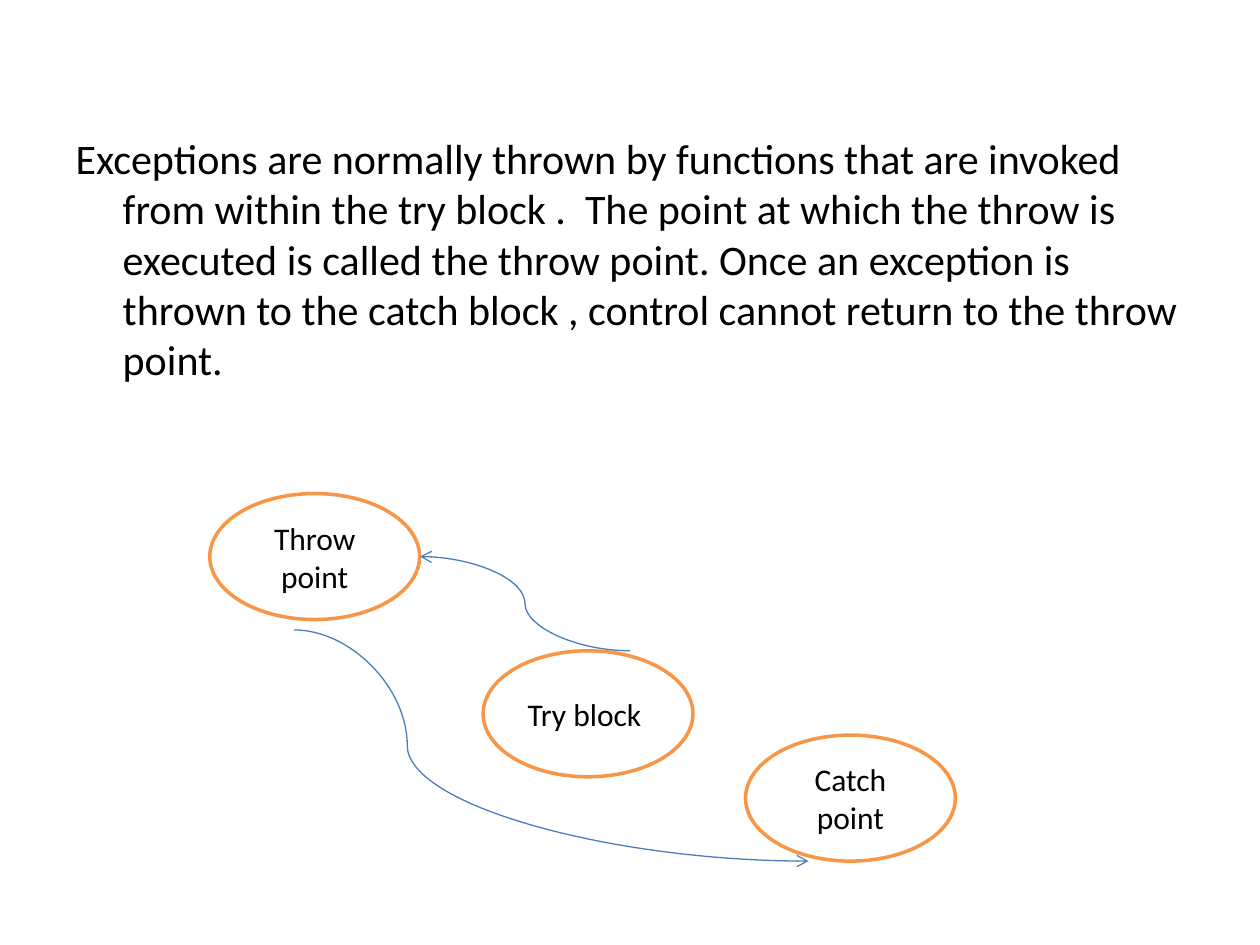
from dataclasses import dataclass
from typing import Any

from lxml.etree import SubElement
from pptx import Presentation
from pptx.dml.color import RGBColor
from pptx.enum.shapes import MSO_CONNECTOR as Link, MSO_SHAPE as Shape
from pptx.enum.text import MSO_ANCHOR as Anchor, PP_ALIGN as Align
from pptx.oxml.ns import qn
from pptx.util import Cm, Pt


def color(hex_code):
    """Turn a hex string into a colour."""
    return RGBColor.from_string(hex_code)


def write(frame, text, size=18, font="Calibri", ink="000000", align=None, anchor=None):
    """Fill a text frame with one formatted paragraph and return it."""
    frame.word_wrap = True
    if anchor is not None:
        frame.vertical_anchor = anchor
    paragraph = frame.paragraphs[0]
    paragraph.alignment = align
    run = paragraph.add_run()
    run.text = text
    run.font.size = Pt(size)
    run.font.name = font
    run.font.color.rgb = color(ink)
    return paragraph


@dataclass
class Diagram:
    """Hold the style and the current slide."""
    slide: Any
    node_fill: str = "FFFFFF"
    node_line: str = "F79646"
    flow_line: str = "4B7EBC"
    node_width: float = 4.23
    node_height: float = 2.54

    def body(self, text, left, top, width, height, hanging):
        """Place the body text without a bullet, with a hanging indent."""
        body = self.slide.placeholders[1]
        body.left, body.top, body.width, body.height = map(Cm, (left, top, width, height))
        properties = write(body.text_frame, text, size=24)._p.get_or_add_pPr()
        properties.set("marL", str(Cm(hanging)))
        properties.set("indent", str(-Cm(hanging)))
        SubElement(properties, qn("a:buNone"))

    def node(self, text, left, top):
        """Draw an outlined ellipse with centred text."""
        node = self.slide.shapes.add_shape(
            Shape.OVAL, Cm(left), Cm(top), Cm(self.node_width), Cm(self.node_height))
        node.shadow.inherit = False
        node.fill.solid()
        node.fill.fore_color.rgb = color(self.node_fill)
        node.line.color.rgb = color(self.node_line)
        node.line.width = Pt(2)
        write(node.text_frame, text, align=Align.CENTER, anchor=Anchor.MIDDLE)

    def flow(self, start, end, bend=0.5):
        """Draw a curved arrow that bends at a share of its width."""
        flow = self.slide.shapes.add_connector(Link.CURVE, *map(Cm, (*start, *end)))
        flow.line.color.rgb = color(self.flow_line)
        flow.line.width = Pt(0.75)
        properties = flow._element.spPr
        SubElement(flow.line._get_or_add_ln(), qn("a:tailEnd"), type="arrow")
        SubElement(properties, qn("a:effectLst"))
        guides = properties.find(qn("a:prstGeom")).get_or_add_avLst()
        SubElement(guides, qn("a:gd"), name="adj1", fmla=f"val {round(bend * 100000)}")


def main():
    """Build the slide on throwing exceptions."""
    deck = Presentation()
    deck.slide_width, deck.slide_height = Cm(25.4), Cm(19.05)
    slide = deck.slides.add_slide(deck.slide_layouts[1])
    heading = slide.shapes.title._element
    heading.getparent().remove(heading)
    diagram = Diagram(slide)

    diagram.body(
        "Exceptions are normally thrown by functions that are invoked from within "
        "the try block .  The point at which the throw is executed is called the "
        "throw point. Once an exception is thrown to the catch block , control "
        "cannot return to the throw point.",
        1.27, 2.54, 22.86, 7.41, hanging=0.95)

    for step, left, top in (("Throw point", 4.23, 9.95),
                            ("Try block ", 9.74, 13.12),
                            ("Catch point", 15.03, 14.82)):
        diagram.node(step, left, top)

    diagram.flow((12.7, 13.12), (8.47, 11.22))
    diagram.flow((5.93, 12.7), (16.3, 17.36), bend=0.22)
    deck.save("out.pptx")


main()
